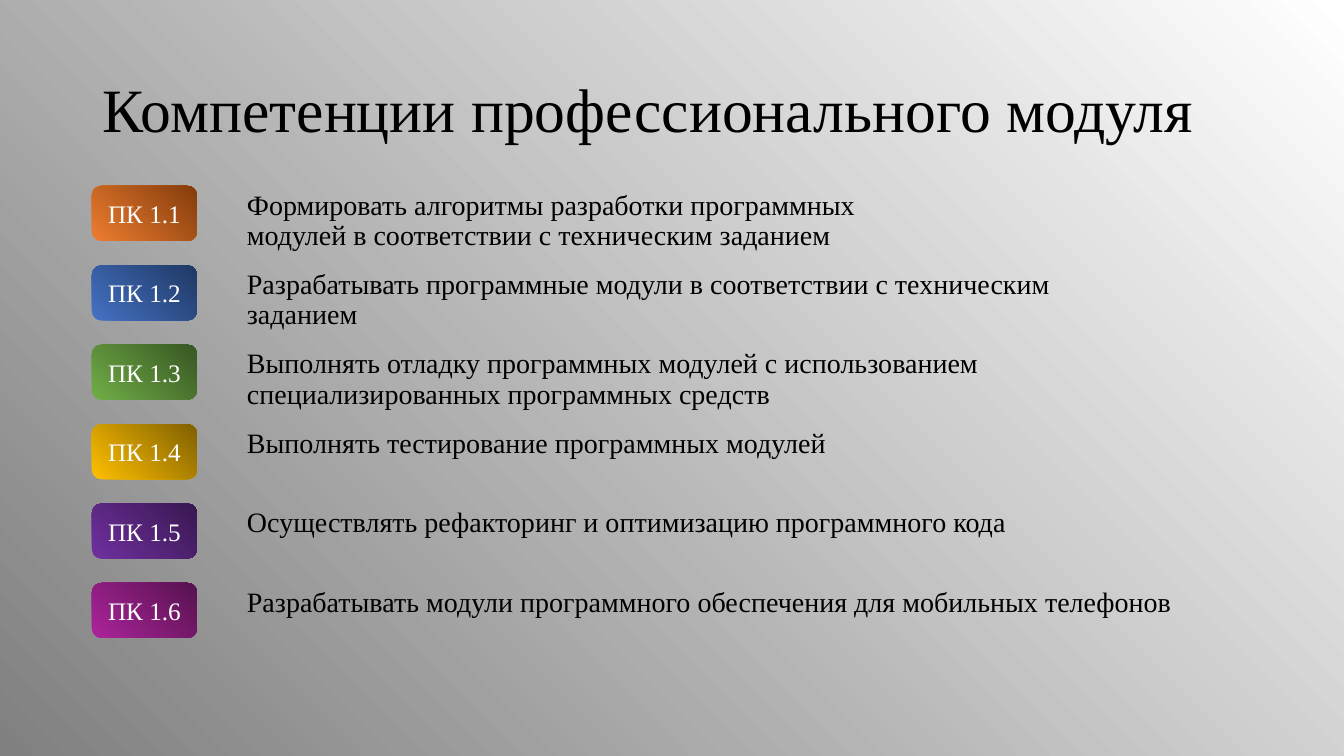
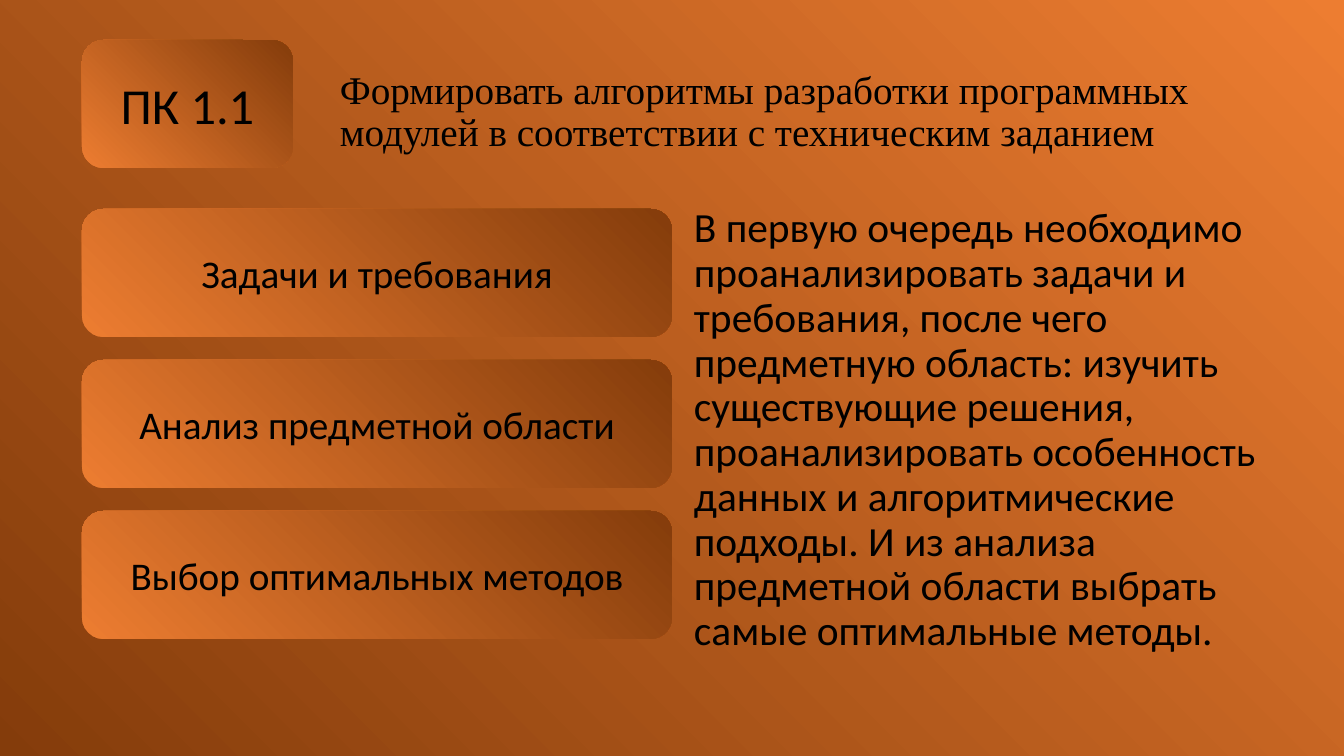
from lxml.etree import SubElement
from pptx import Presentation
from pptx.dml.color import RGBColor
from pptx.enum.shapes import MSO_SHAPE
from pptx.enum.text import MSO_ANCHOR, PP_ALIGN
from pptx.oxml.ns import qn
from pptx.util import Emu, Pt

SERIF, SANS = "Times New Roman", "Calibri"
COLORS = {"text": "000000", "badge_text": "FFFFFF"}

# Gradients: top right corner, bottom left corner
GRADIENTS = {
    "gray": ("FFFFFF", "808080"),
    "page_orange": ("ED7D31", "843C0B"),
    "orange": ("843C0B", "ED7D31"),
    "blue": ("203864", "4472C4"),
    "green": ("385723", "70AD47"),
    "gold": ("806000", "FFC000"),
    "violet": ("381850", "7030A0"),
    "magenta": ("56124E", "AC249C"),
}

# Content: code, gradient, text width, description
MODULE_TITLE = "Компетенции профессионального модуля"
COMPETENCES = [
    ("ПК 1.1", "orange", 717, "Формировать алгоритмы разработки программных "
     "модулей в соответствии с техническим заданием"),
    ("ПК 1.2", "blue", 927, "Разрабатывать программные модули в соответствии "
     "с техническим заданием"),
    ("ПК 1.3", "green", 927, "Выполнять отладку программных модулей с "
     "использованием специализированных программных средств"),
    ("ПК 1.4", "gold", 945, "Выполнять тестирование программных модулей"),
    ("ПК 1.5", "violet", 945, "Осуществлять рефакторинг и оптимизацию "
     "программного кода"),
    ("ПК 1.6", "magenta", 945, "Разрабатывать модули программного обеспечения "
     "для мобильных телефонов"),
]
STEPS = ["Задачи и требования", "Анализ предметной области",
         "Выбор оптимальных методов"]
EXPLANATION = (
    "В первую очередь необходимо проанализировать задачи и требования, после "
    "чего предметную область: изучить существующие решения, проанализировать "
    "особенность данных и алгоритмические подходы. И из анализа предметной "
    "области выбрать самые оптимальные методы.")


def px(n):
    return Emu(round(n * 914400 / 100.8))


def corner_gradient(fill, root, name):
    """Fill with a gradient that spreads from the top right corner."""
    fill.gradient()
    for stop, color in zip(fill.gradient_stops, GRADIENTS[name]):
        stop.color.rgb = RGBColor.from_string(color)
    grad = next(root.iter(qn("a:gradFill")))
    grad.remove(grad.find(qn("a:lin")))
    way = SubElement(grad, qn("a:path"), path="circle")
    SubElement(way, qn("a:fillToRect"), l="100000", b="100000")
    SubElement(grad, qn("a:tileRect"), t="-100000", r="-100000")


def write(sp, text, size, font, color="text", anchor=MSO_ANCHOR.MIDDLE,
          align=PP_ALIGN.LEFT, spacing=None):
    tf = sp.text_frame
    tf.word_wrap = True
    tf.vertical_anchor = anchor
    tf.text = text
    p = tf.paragraphs[0]
    p.alignment = align
    p.line_spacing = spacing
    f = p.runs[0].font
    f.size, f.name = Pt(size), font
    f.color.rgb = RGBColor.from_string(COLORS[color])


def add_text(s, box, text, size, font, anchor=MSO_ANCHOR.TOP):
    sp = s.shapes.add_textbox(*map(px, box))
    write(sp, text, size, font, anchor=anchor, spacing=0.9)


def add_badge(s, box, text, gradient, size, font, color="text"):
    sp = s.shapes.add_shape(MSO_SHAPE.ROUNDED_RECTANGLE, *map(px, box))
    sp.shadow.inherit = False
    sp.line.fill.background()
    corner_gradient(sp.fill, sp._element, gradient)
    write(sp, text, size, font, color, align=PP_ALIGN.CENTER)


def add_slide(prs, gradient, title, title_left, title_size):
    s = prs.slides.add_slide(prs.slide_layouts[6])
    corner_gradient(s.background.fill, s._element, gradient)
    add_text(s, (title_left, 40, 1252 - title_left, 146), title, title_size,
             SERIF, MSO_ANCHOR.MIDDLE)
    return s


def main():
    prs = Presentation()
    prs.slide_width, prs.slide_height = px(1344), px(756)

    # Slide 1: list of competences
    s = add_slide(prs, "gray", MODULE_TITLE, 93, 44)
    first, last = 186, 583
    pitch = (last - first) / (len(COMPETENCES) - 1)
    for i, (code, gradient, width, text) in enumerate(COMPETENCES):
        top = first + i * pitch
        add_text(s, (237, top, width, 55), text, 20, SERIF)
        add_badge(s, (92, top, 105, 55), code, gradient, 18, SERIF,
                  "badge_text")

    # Slide 2: the first competence in detail
    code, gradient, _, text = COMPETENCES[0]
    s = add_slide(prs, "page_orange", text, 330, 28)
    add_text(s, (684, 202, 590, 480), EXPLANATION, 29.6, SANS)
    add_badge(s, (82, 40, 211, 128), code, gradient, 36, SANS)
    for i, step in enumerate(STEPS):
        add_badge(s, (82, 209 + i * 151, 590, 128), step, gradient, 28, SANS)

    prs.save("out.pptx")


if __name__ == "__main__":
    main()
